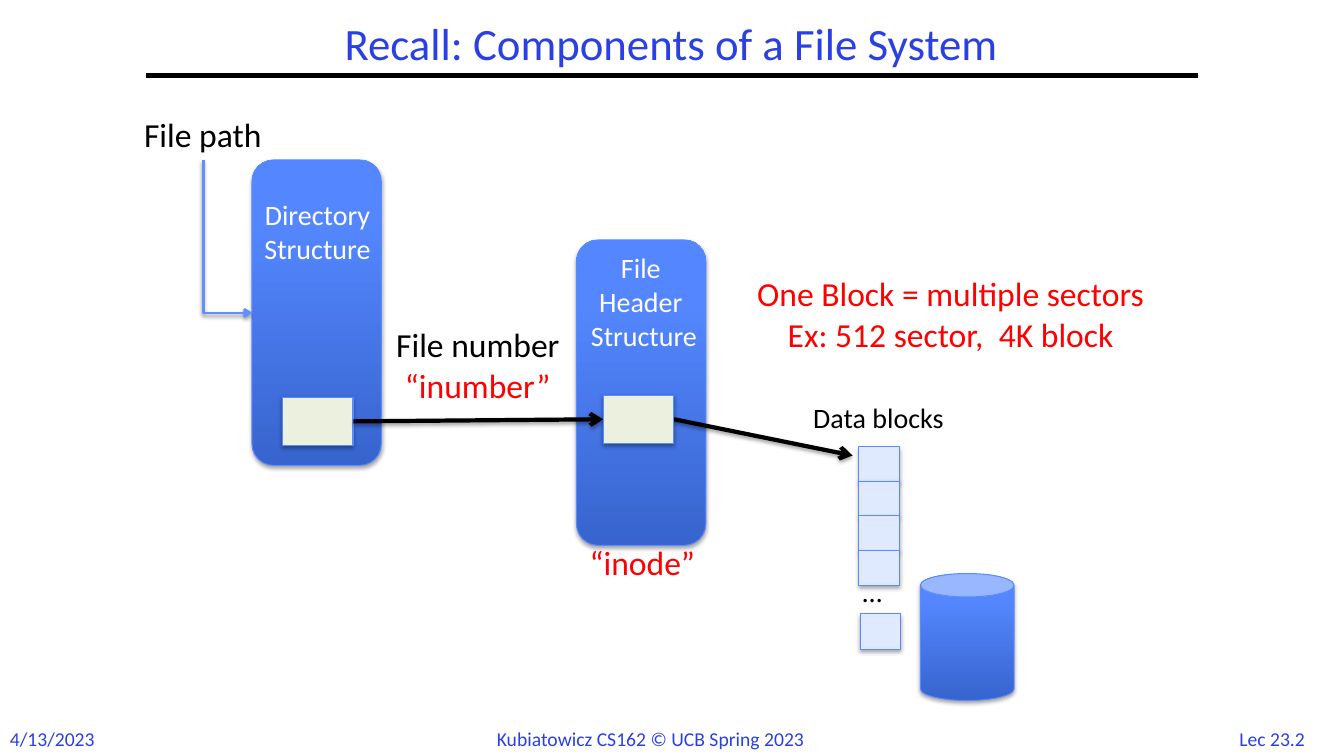
import pptx
import pptx.util
import pptx.dml.color
import pptx.enum.shapes
import pptx.enum.text
import pptx.oxml
import pptx.oxml.ns

Pt = pptx.util.Pt
RGB = pptx.dml.color.RGBColor.from_string
SHAPE = pptx.enum.shapes.MSO_SHAPE
CONNECTOR = pptx.enum.shapes.MSO_CONNECTOR
ALIGN = pptx.enum.text.PP_ALIGN
ANCHOR = pptx.enum.text.MSO_ANCHOR

COLORS = {
    "heading": "2A40E2", "black": "000000", "white": "FFFFFF", "red": "FF0000",
    "outline": "5B8AFB", "path": "618FFD", "dark": "3764CE", "bright": "5487FF",
    "entry": "EBF1DE", "block": "DFE9FF",
}
NAMESPACE = pptx.oxml.ns.nsdecls("a")
SHADOW = (
    f'<a:outerShdw {NAMESPACE} blurRad="39400" dist="{{distance}}" dir="5400000" rotWithShape="0">'
    '<a:srgbClr val="000000"><a:alpha val="{alpha}"/></a:srgbClr></a:outerShdw>'
)

presentation = pptx.Presentation()
presentation.slide_width = Pt(960)
presentation.slide_height = Pt(540)
slide = presentation.slides.add_slide(presentation.slide_layouts[6])


def add_box(kind, left, top, width, height, color=None):
    """Add an outlined, shadowed shape; without a color it gets the blue gradient."""
    shape = slide.shapes.add_shape(kind, Pt(left), Pt(top), Pt(width), Pt(height))
    if color:
        shape.fill.solid()
        shape.fill.fore_color.rgb = RGB(COLORS[color])
    else:
        shape.fill.gradient()
        shape.fill.gradient_angle = 90
        for stop, position, name in zip(shape.fill.gradient_stops, (0, 0.8), ("dark", "bright")):
            stop.position = position
            stop.color.rgb = RGB(COLORS[name])
    shape.line.color.rgb = RGB(COLORS["outline"])
    shape.line.width = Pt(0.75)
    shape.shadow.inherit = False
    effects = shape._element.spPr.find(pptx.oxml.ns.qn("a:effectLst"))
    effects.append(pptx.oxml.parse_xml(SHADOW.format(distance=22900, alpha=35000)))


def add_line(kind, start, end, color="black", width=3, arrow=True):
    """Add a connector; an arrow also gets a soft shadow."""
    connector = slide.shapes.add_connector(kind, *[Pt(value) for value in start + end])
    connector.line.color.rgb = RGB(COLORS[color])
    connector.line.width = Pt(width)
    properties = connector._element.spPr
    effects = pptx.oxml.parse_xml(f"<a:effectLst {NAMESPACE}/>")
    properties.append(effects)
    if arrow:
        head = pptx.oxml.parse_xml(f'<a:tailEnd {NAMESPACE} type="arrow"/>')
        properties.find(pptx.oxml.ns.qn("a:ln")).append(head)
        effects.append(pptx.oxml.parse_xml(SHADOW.format(distance=20300, alpha=38000)))
    return connector


# Title rule and the two structures
add_line(CONNECTOR.STRAIGHT, (104, 54), (856, 54), arrow=False)
for left, top in ((180, 114.3), (411.8, 171.4)):
    add_box(SHAPE.ROUNDED_RECTANGLE, left, top, 92.4, 218.2)

# The path runs down from its label and turns right into the directory
path_arrow = add_line(CONNECTOR.ELBOW, (217.5, 151.5), (108.3, 186.4), "path", 2)
path_arrow._element.spPr.prstGeom.set("prst", "bentConnector2")
path_arrow.rotation = 270

# Entries, links and storage
add_box(SHAPE.RECTANGLE, 201.8, 283.7, 50.4, 34.6, "entry")
add_line(CONNECTOR.STRAIGHT, (252.5, 301), (430.8, 299.5))
add_line(CONNECTOR.STRAIGHT, (481.5, 299.5), (609, 325.4))
add_box(SHAPE.RECTANGLE, 430.8, 282.2, 50.4, 34.6, "entry")
add_box(SHAPE.CAN, 657.4, 409.7, 67, 90.7)
for row in range(4):
    add_box(SHAPE.RECTANGLE, 613.6, 319 + 24.7 * row, 28.8, 25.2, "block")
add_box(SHAPE.RECTANGLE, 614.6, 438.5, 28.8, 25.2, "block")

# Text: lines, left, top, width, height, size, color, alignment
labels = [
    ("Recall: Components of a File System", 103.7, 12.2, 751.7, 41.8, 32, "heading", ALIGN.CENTER),
    ("4/13/2023", 0, 515.5, 77, 24.5, 14, "heading", ALIGN.LEFT),
    ("Kubiatowicz CS162 © UCB Spring 2023", 347.8, 515.5, 265, 24.5, 14, "heading", ALIGN.LEFT),
    ("Lec 23.2", 869.8, 515.5, 77.8, 24.5, 14, "heading", ALIGN.CENTER),
    ("File path", 95.8, 77.8, 107.3, 36, 24, "black", ALIGN.LEFT),
    ("Directory\nStructure", 178.6, 137.5, 96.5, 55.4, 20, "white", ALIGN.CENTER),
    ("File \nHeader \nStructure", 411.8, 175.7, 96.5, 79.9, 20, "white", ALIGN.CENTER),
    ("File number", 270, 228.2, 142.6, 36, 24, "black", ALIGN.CENTER),
    ("“inumber”", 281.5, 257, 119.5, 36, 24, "red", ALIGN.CENTER),
    ("“inode”", 414, 383.8, 90, 36, 24, "red", ALIGN.LEFT),
    ("One Block = multiple sectors\nEx: 512 sector,  4K block",
     517.7, 191.5, 322.6, 65.5, 24, "red", ALIGN.CENTER),
    ("Data blocks", 573.8, 282.2, 120.2, 31.7, 20, "black", ALIGN.LEFT),
    ("…", 609.1, 406.8, 34.6, 31.7, 20, "black", ALIGN.LEFT),
]
for text, left, top, width, height, size, color, alignment in labels:
    box = slide.shapes.add_textbox(Pt(left), Pt(top), Pt(width), Pt(height))
    frame = box.text_frame
    frame.text = text
    frame.word_wrap = False
    if size == 32:
        frame.word_wrap = True
        frame.vertical_anchor = ANCHOR.MIDDLE
        frame.paragraphs[0].line_spacing = 0.9
    for paragraph in frame.paragraphs:
        paragraph.alignment = alignment
        for run in paragraph.runs:
            run.font.name = "Calibri"
            run.font.size = Pt(size)
            run.font.color.rgb = RGB(COLORS[color])

presentation.save("out.pptx")
